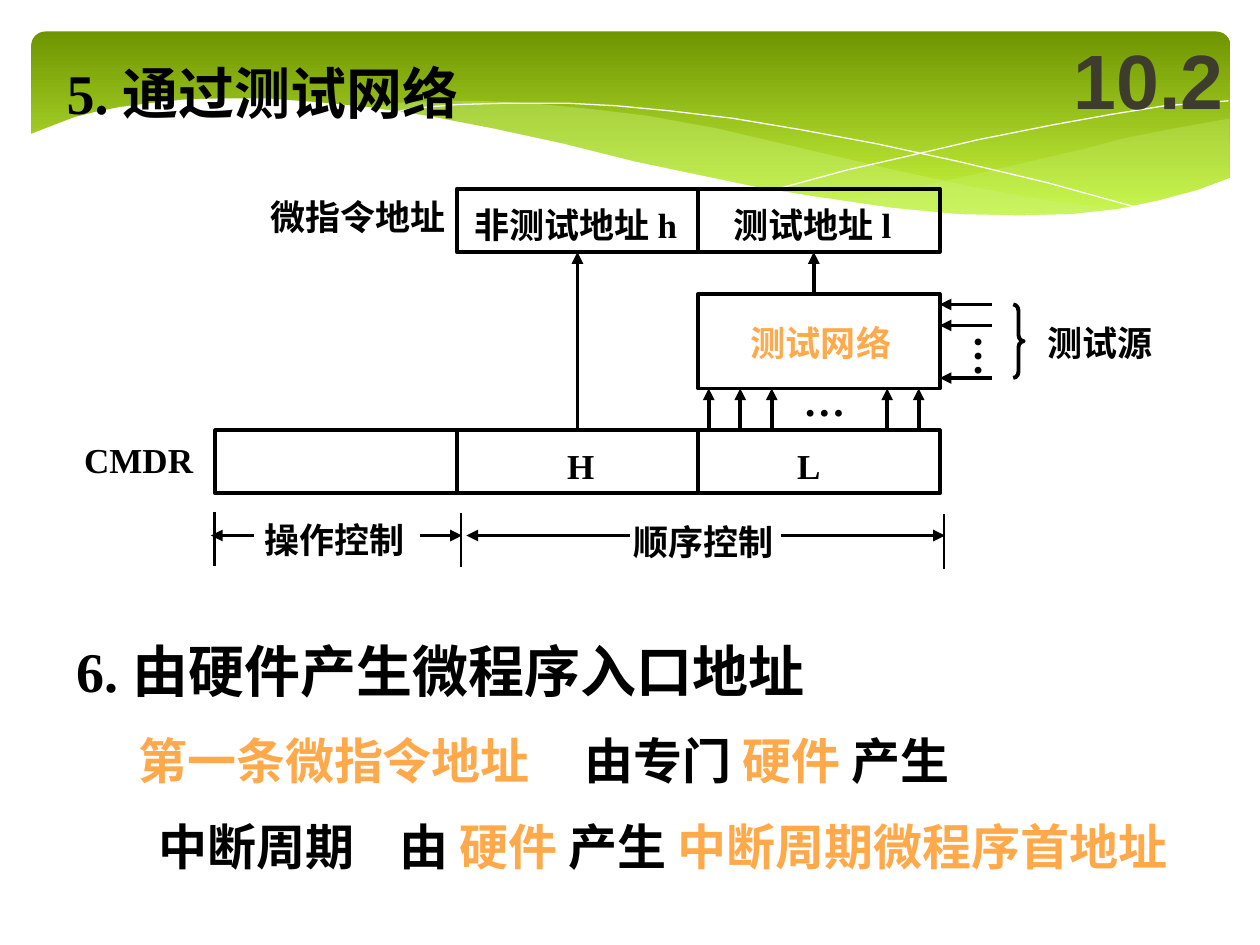
from lxml import etree
from pptx import Presentation
from pptx.dml.color import RGBColor
from pptx.enum.shapes import MSO_CONNECTOR, MSO_SHAPE
from pptx.enum.text import MSO_ANCHOR, MSO_AUTO_SIZE
from pptx.oxml.ns import qn
from pptx.util import Pt

BLACK = RGBColor(0, 0, 0)
WHITE = RGBColor(255, 255, 255)
AMBER = RGBColor(0xFF, 0xA9, 0x4A)
GREY = RGBColor(0x3E, 0x3D, 0x2D)
MOSS = RGBColor(0x6F, 0x95, 0x00)
LIME = RGBColor(0xD0, 0xFF, 0x44)
PALE = RGBColor(0xCA, 0xF2, 0x78)
SERIF, SANS, ARIAL = "Times New Roman", "DejaVu Sans", "Arial"
RECT, ROUND, BRACE = MSO_SHAPE.RECTANGLE, MSO_SHAPE.ROUNDED_RECTANGLE, MSO_SHAPE.RIGHT_BRACE
LINE = MSO_CONNECTOR.STRAIGHT
GROW, FIXED, MIDDLE = MSO_AUTO_SIZE.SHAPE_TO_FIT_TEXT, MSO_AUTO_SIZE.NONE, MSO_ANCHOR.MIDDLE
TOP, BOTTOM = 0, 2

RIGHT = [(684.7, 49.7), (664.6, 53.3), (645.1, 56.9), (623.5, 61.2), (601.9, 67), (561.6, 76.3),
         (524.2, 85), (490.3, 91.4), (457.9, 97.2), (489.6, 100.8), (518.4, 103.7), (544.3, 105.1),
         (568.1, 105.8), (589.7, 105.1), (609.8, 103.7), (627.8, 100.8), (645.1, 97.2),
         (665.3, 91.4), (684.7, 83.5)]
CENTRE = [(625, 102.2), (584.6, 97.2), (540, 89.3), (490.3, 78.5), (434.9, 65.5), (391.7, 55.4),
          (352.1, 48.2), (316.1, 43.9), (284.4, 41), (255.6, 39.6), (229.7, 39.6), (207.4, 41),
          (187.9, 43.9), (214.6, 46.8), (242.6, 51.8), (272.9, 58.3), (305.3, 65.5), (363.6, 79.2),
          (414.7, 90), (460.8, 97.9), (501.8, 103), (538.6, 105.8), (571, 106.6), (599, 105.1)]
FALL = [(204.5, 46.8), (218.2, 43.9), (243.4, 41.8), (270.7, 41), (306, 41), (334.1, 42.5),
        (365, 45.4), (401, 49.7), (439.9, 56.2), (482.4, 64.1), (529.2, 74.2), (580.3, 86.4),
        (635, 101.5)]
RISE = [(423.4, 90.7), (465.8, 79.2), (500.4, 71.3), (540.7, 61.9), (583.9, 53.3),
        (616.3, 47.5), (647.3, 42.5), (684, 39.6)]
BASE = [(685.4, 83.5), (666, 90.7), (644.4, 96.5), (620.6, 101.5), (594, 104.4), (564.5, 105.1),
        (529.9, 104.4), (491.8, 100.8), (447.8, 94.3), (416.2, 89.3), (381.6, 82.1), (344.2, 74.2),
        (303.8, 64.1), (263.5, 55.4), (226.1, 48.2), (192.2, 43.2), (162, 40.3), (133.9, 38.2),
        (108.7, 38.2), (87.1, 38.9), (67.7, 41), (50.4, 43.2), (36, 46.1), (24.5, 49),
        (15.1, 52.6), (7.9, 55.4), (-1.4, 59), (-1.4, 143.3), (685.4, 143.3)]


def wave(slide, left, top, spots, fill=None, alpha=100):
    (x, y), *rest = [(Pt(a), Pt(b)) for a, b in spots]
    pen = slide.shapes.build_freeform(x, y)
    pen.add_line_segments(rest, close=fill is not None)
    shape = pen.convert_to_shape(Pt(left), Pt(top))
    shape.shadow.inherit = False
    if fill is None:
        shape.fill.background()
        shape.line.color.rgb = WHITE
        shape.line.width = Pt(0)
        return
    shape.fill.solid()
    shape.fill.fore_color.rgb = fill
    shape.line.fill.background()
    if alpha < 100:
        tint = shape._element.spPr.find(".//" + qn("a:srgbClr"))
        etree.SubElement(tint, qn("a:alpha"), val=str(alpha * 1000))


def block(slide, x, y, w, h, kind=RECT):
    shape = slide.shapes.add_shape(kind, Pt(x), Pt(y), Pt(w), Pt(h))
    shape.shadow.inherit = False
    shape.fill.background()
    shape.line.color.rgb = BLACK
    shape.line.width = Pt(2.25)
    return shape


def line(slide, x1, y1, x2, y2, arrow=True):
    link = slide.shapes.add_connector(LINE, Pt(x1), Pt(y1), Pt(x2), Pt(y2))
    link.line.color.rgb = BLACK
    link.line.width = Pt(2.25 if arrow else 1.5)
    if arrow:
        edge = link._element.spPr.find(qn("a:ln"))
        etree.SubElement(edge, qn("a:tailEnd"), type="triangle")
    etree.SubElement(link._element.spPr, qn("a:effectLst"))
    return link


def label(slide, x, y, w, h, runs, size=20, font=SERIF, color=BLACK, wrap=False, tab=None):
    box = slide.shapes.add_textbox(Pt(x), Pt(y), Pt(w), Pt(h))
    frame = box.text_frame
    frame.word_wrap = wrap
    frame.auto_size = GROW
    para = frame.paragraphs[0]
    if tab:
        stops = etree.SubElement(para._p.get_or_add_pPr(), qn("a:tabLst"))
        etree.SubElement(stops, qn("a:tab"), pos=str(Pt(tab)), algn="l")
    para.font.size = Pt(size)
    para.font.bold = True
    if isinstance(runs, str):
        para.font.name = font
        para.font.color.rgb = color
        para.add_run().text = runs
        return frame
    for text, face, tone in runs:
        run = para.add_run()
        run.text = text
        run.font.name = face
        run.font.color.rgb = tone
    return frame


def banner(slide, left, top, width, height):
    band = block(slide, left, top, width, height, ROUND)
    band.adjustments[0] = 0.07
    band.line.fill.background()
    band.fill.gradient()
    band.fill.gradient_angle = 270
    for stop, tone in zip(band.fill.gradient_stops, (MOSS, LIME)):
        stop.color.rgb = tone
    wave(slide, left, top, RIGHT, PALE, 29)
    wave(slide, left, top, CENTRE, PALE, 40)
    wave(slide, left, top, FALL)
    wave(slide, left, top, RISE)
    wave(slide, left, top, BASE, WHITE)
    label(slide, left + 13, top + 12, 572, 46,
          [("5. ", SERIF, BLACK), ("通过测试网络", SANS, BLACK)], 32, wrap=True)
    mark = label(slide, left + 588.5, top - 6, 114, 66, "10.2", 44, ARIAL, GREY, True)
    mark.auto_size = FIXED
    mark.vertical_anchor = MIDDLE


def diagram(slide, left, top, cell, high):
    net, reg = top + 60, top + 138
    base = net + 54
    cols = [left + cell * i for i in range(4)]
    addr = [block(slide, x, top, cell, high) for x in cols[1:3]]
    cmdr = [block(slide, x, reg, cell, high) for x in cols[:3]]
    block(slide, cols[2], net, cell, base - net)

    mid = cols[1] + cell / 2
    rise = line(slide, mid, reg, mid, top + high)
    rise.begin_connect(cmdr[1], TOP)
    rise.end_connect(addr[0], BOTTOM)
    line(slide, cols[2] + 66, net, cols[2] + 66, top + high)
    for x in (6, 24, 42, 108, 126):
        line(slide, cols[2] + x, reg, cols[2] + x, base)
    for y in (6, 18, 48):
        line(slide, cols[3] + 30, net + y, cols[3], net + y)
    brace = block(slide, cols[3] + 42, net + 6, 6, 42, BRACE)
    brace.adjustments[0] = 0.6

    for x, y in ((-0.5, 184.5), (140.5, 185), (416.5, 186)):
        line(slide, left + x, top + y, left + x, top + y + 31, False)
    for x1, x2 in ((117, 141), (22, -2.5), (323.5, 417), (237, 143.5)):
        line(slide, left + x1, top + 198, left + x2, top + 198)

    for text, x, y, w in (("微指令地址", 24.5, 0, 114.5), ("非测试地址 h", 141, 5, 138),
                          ("测试地址 l", 289, 5, 111), ("测试源", 468.5, 72, 78),
                          ("CMDR", -82, 139, 76.5), ("H", 194, 142.5, 29.5),
                          ("L", 325.5, 142.5, 27.5), ("操作控制", 21, 185, 95),
                          ("顺序控制", 232, 186, 95)):
        label(slide, left + x, top + y, w, 31.5, text)
    label(slide, left + 299, top + 72, 95, 31.5, "测试网络", color=AMBER)
    label(slide, left + 329, top + 102.5, 38, 36, "…", 24)
    dots = label(slide, left + 419, top + 76.5, 43, 38, "…", 24)
    dots._txBody.bodyPr.set("vert", "eaVert")
    dots.margin_left = dots.margin_right = Pt(3.6)
    dots.margin_top = dots.margin_bottom = Pt(7.2)


def notes(slide, left, top, width):
    label(slide, left - 0.5, top, width, 46,
          [("6. 由硬件产生", SERIF, BLACK), ("微程序入口地址", SANS, BLACK)], 32, wrap=True)
    first = [("第一条微指令地址", SANS, AMBER), ("\t由专门 ", SANS, BLACK),
             ("硬件 ", SANS, AMBER), ("产生", SANS, BLACK)]
    label(slide, left + 35, top + 54, width, 41, first, 28, wrap=True, tab=255)
    second = [("中断周期\t由 ", SANS, BLACK), ("硬件 ", SANS, AMBER),
              ("产生 ", SANS, BLACK), ("中断周期微程序首地址", SANS, AMBER)]
    label(slide, left + 46.5, top + 103, width, 41, second, 28, wrap=True, tab=138)


def main():
    deck = Presentation()
    deck.slide_width, deck.slide_height = Pt(720), Pt(540)
    slide = deck.slides.add_slide(deck.slide_layouts[6])
    banner(slide, 18, 18, 685, 112)
    diagram(slide, 123, 108, 138, 36)
    notes(slide, 37, 360, 612)
    deck.save("out.pptx")


if __name__ == "__main__":
    main()
